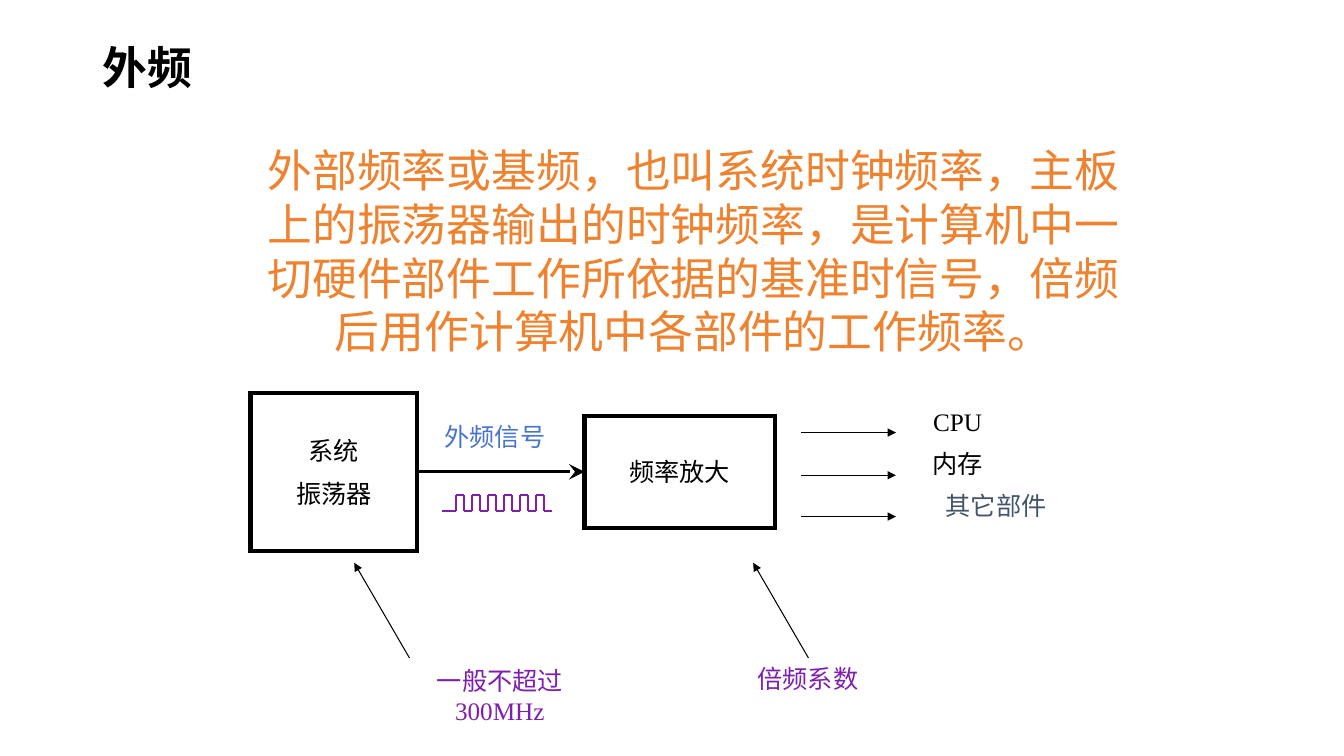
import dataclasses

import lxml.etree
import pptx
import pptx.dml.color
import pptx.enum.shapes
import pptx.enum.text
import pptx.oxml.ns
import pptx.util

Pt = pptx.util.Pt
qn = pptx.oxml.ns.qn
ALIGN = pptx.enum.text.PP_ALIGN
ANCHOR = pptx.enum.text.MSO_ANCHOR


@dataclasses.dataclass(frozen=True)
class Theme:
    black: str = "000000"
    orange: str = "EE822F"
    blue: str = "4874CB"
    slate: str = "44546A"
    purple: str = "7E1FAD"
    white: str = "FFFFFF"
    chinese_font: str = "Noto Sans CJK SC"
    latin_font: str = "Times New Roman"
    large: float = 32
    small: float = 18
    thin: float = 0.75
    pulse: float = 1.5
    medium: float = 2.25
    thick: float = 3


def rgb(value):
    return pptx.dml.color.RGBColor.from_string(value)


def write(frame, text, *, font, chinese_font, size, color, bold=False,
          align=ALIGN.CENTER, anchor=ANCHOR.TOP, wrap=False, spacing=None, gap=0):
    frame.word_wrap = wrap
    frame.vertical_anchor = anchor
    frame.text = text
    for index, paragraph in enumerate(frame.paragraphs):
        paragraph.alignment = align
        paragraph.line_spacing = spacing
        paragraph.space_before = Pt(gap if index else 0)
        for run in paragraph.runs:
            run.font.name = font
            run.font.size = Pt(size)
            run.font.bold = bold
            run.font.color.rgb = rgb(color)
            east_asian = lxml.etree.Element(qn("a:ea"), typeface=chinese_font)
            run.font._element.find(qn("a:latin")).addnext(east_asian)


class SlideBuilder:
    def __init__(self, slide, theme):
        self.slide = slide
        self.theme = theme
        self.text_style = dict(font=theme.latin_font, chinese_font=theme.chinese_font,
                               size=theme.small, color=theme.black)
        slide.background.fill.solid()
        slide.background.fill.fore_color.rgb = rgb(theme.white)

    def title(self, text, left, top, width, height):
        title = self.slide.shapes.title
        title.left, title.top = Pt(left), Pt(top)
        title.width, title.height = Pt(width), Pt(height)
        style = self.text_style | dict(font=self.theme.chinese_font, size=self.theme.large)
        write(title.text_frame, text, bold=True, align=ALIGN.LEFT, wrap=True,
              spacing=0.9, **style)

    def label(self, text, left, top, width, height=29, **style):
        label = self.slide.shapes.add_textbox(Pt(left), Pt(top), Pt(width), Pt(height))
        write(label.text_frame, text, **(self.text_style | style))

    def block(self, text, left, top, width, height):
        block = self.slide.shapes.add_shape(
            pptx.enum.shapes.MSO_SHAPE.RECTANGLE,
            Pt(left), Pt(top), Pt(width), Pt(height))
        block.shadow.inherit = False
        block.fill.background()
        block.line.color.rgb = rgb(self.theme.black)
        block.line.width = Pt(self.theme.thick)
        lxml.etree.SubElement(block.line._get_or_add_ln(), qn("a:miter"), lim="800000")
        write(block.text_frame, text, anchor=ANCHOR.MIDDLE, gap=9, **self.text_style)
        return block

    def line(self, start=(0, 0), end=(0, 0), color=None, width=None, head=None,
             head_size="med", joins=None):
        line = self.slide.shapes.add_connector(
            pptx.enum.shapes.MSO_CONNECTOR.STRAIGHT,
            *(Pt(value) for value in (*start, *end)))
        if joins:
            source, target = joins
            line.begin_connect(source, 3)
            line.end_connect(target, 1)
        line.line.color.rgb = rgb(color or self.theme.black)
        line.line.width = Pt(width or self.theme.thin)
        if head:
            lxml.etree.SubElement(line.line._get_or_add_ln(), qn("a:tailEnd"),
                                  type=head, w=head_size, len=head_size)
        lxml.etree.SubElement(line._element.spPr, qn("a:effectLst"))


def pulse_points(left, first_edge, step, edges, right, high, low):
    points = [(left, low)]
    level = low
    for index in range(edges):
        x = first_edge + index * step
        points.append((x, level))
        level = high if level == low else low
        points.append((x, level))
    return points + [(right, level)]


def main():
    theme = Theme()
    presentation = pptx.Presentation()
    presentation.slide_width = Pt(960)
    presentation.slide_height = Pt(540)
    page = SlideBuilder(
        presentation.slides.add_slide(presentation.slide_layouts[5]), theme)

    page.title("外频", 66, 29, 828, 104)
    page.label(
        "外部频率或基频，也叫系统时钟频率，主板上的振荡器输出的时钟频率，"
        "是计算机中一切硬件部件工作所依据的基准时信号，倍频后用作计算机中各部件的工作频率。",
        181, 98.5, 629, 162, size=theme.large, color=theme.orange, wrap=True)

    oscillator = page.block("系统\n振荡器", 179, 280.5, 119, 113)
    amplifier = page.block("频率放大", 417.5, 297, 136, 80)
    page.line(width=theme.medium, head="stealth", head_size="lg",
              joins=(oscillator, amplifier))
    page.label("外频信号", 310, 297.5, 87, color=theme.blue)
    pulse = pulse_points(315.5, 326, 5.7, 12, 394.5, 353.5, 365)
    for start, end in zip(pulse, pulse[1:]):
        page.line(start, end, theme.purple, theme.pulse)

    outputs = [
        ("CPU", 309, 659, 286.5, 50, theme.black),
        ("内存", 339.5, 658, 316.5, 52, theme.black),
        ("其它部件", 369, 668, 347, 87, theme.slate),
    ]
    for name, arrow_y, left, top, width, color in outputs:
        page.line((572, arrow_y), (640, arrow_y), head="triangle")
        page.label(name, left, top, width, color=color)

    notes = [
        ("一般不超过300MHz", 253, 276, 471.5, 162, 51, True),
        ("倍频系数", 538, 533.5, 470, 87, 29, False),
    ]
    for text, tip_x, left, top, width, height, wrap in notes:
        page.line((tip_x + 39.5, 470), (tip_x, 402), head="triangle")
        page.label(text, left, top, width, height, color=theme.purple, wrap=wrap)

    presentation.save("out.pptx")


if __name__ == "__main__":
    main()
